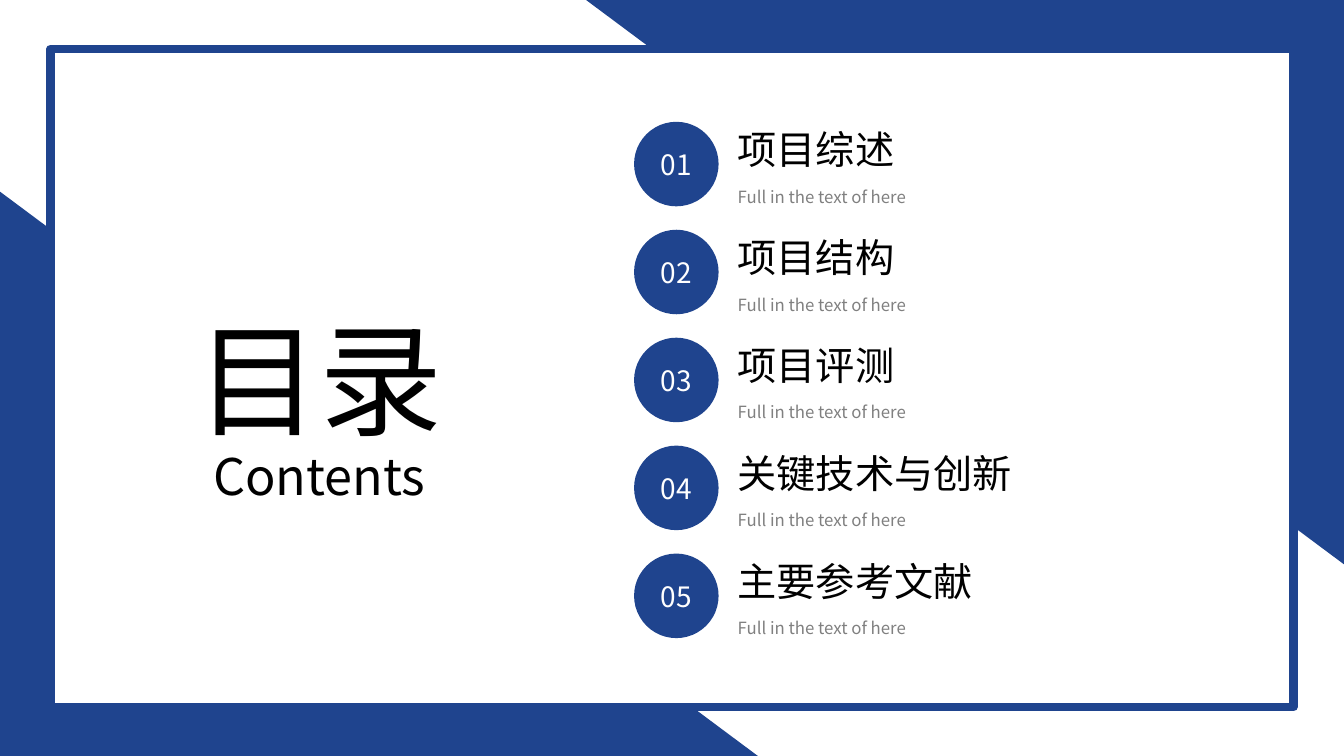
from lxml.etree import SubElement
from pptx import Presentation
from pptx.dml.color import RGBColor
from pptx.enum.shapes import MSO_SHAPE
from pptx.enum.text import MSO_ANCHOR, PP_ALIGN
from pptx.oxml.ns import qn
from pptx.util import Cm, Pt

HEADING = "目录"
SUBHEADING = "Contents"
CAPTION = "Full in the text of here"
CHAPTERS = ["项目综述", "项目结构", "项目评测", "关键技术与创新", "主要参考文献"]

FONT = "Noto Sans CJK JP"
BLUE, WHITE, BLACK, GRAY = "1F448E", "FFFFFF", "000000", "808080"
SLIDE_WIDTH, SLIDE_HEIGHT = 33.87, 19.05
CORNER_WIDTH, CORNER_HEIGHT = 19.1, 14.22
FRAME_WIDTH, FRAME_HEIGHT = 31.32, 16.59
CIRCLE_LEFT, CIRCLE_SIZE = 15.98, 2.13
CHAPTER_LEFT, FIRST_TOP, CHAPTER_PITCH = 18.34, 3.07, 2.72


def color(hex_string):
    return RGBColor.from_string(hex_string)


def add_shape(slide, kind, left, top, width, height, fill):
    shape = slide.shapes.add_shape(kind, Cm(left), Cm(top), Cm(width), Cm(height))
    shape.shadow.inherit = False
    shape.fill.solid()
    shape.fill.fore_color.rgb = color(fill)
    shape.line.fill.background()
    return shape


def write(shape, text, size, text_color, alignment):
    shape.text_frame.text = text
    paragraph = shape.text_frame.paragraphs[0]
    paragraph.alignment = alignment
    font = paragraph.runs[0].font
    font.name = FONT
    font.size = Pt(size)
    font.color.rgb = color(text_color)
    SubElement(font._element, qn("a:ea")).set("typeface", FONT)


def add_text(slide, left, top, width, height, text, size, text_color=BLACK,
             alignment=PP_ALIGN.LEFT):
    box = slide.shapes.add_textbox(Cm(left), Cm(top), Cm(width), Cm(height))
    box.text_frame.word_wrap = True
    write(box, text, size, text_color, alignment)


def add_background(slide):
    corners = [(SLIDE_WIDTH - CORNER_WIDTH, 0, 180),
               (0, SLIDE_HEIGHT - CORNER_HEIGHT, 0)]
    for left, top, rotation in corners:
        corner = add_shape(slide, MSO_SHAPE.RIGHT_TRIANGLE, left, top,
                           CORNER_WIDTH, CORNER_HEIGHT, BLUE)
        corner.rotation = rotation
    frame = add_shape(slide, MSO_SHAPE.RECTANGLE,
                      (SLIDE_WIDTH - FRAME_WIDTH) / 2,
                      (SLIDE_HEIGHT - FRAME_HEIGHT) / 2,
                      FRAME_WIDTH, FRAME_HEIGHT, WHITE)
    frame.line.color.rgb = color(BLUE)
    frame.line.width = Pt(6)


def add_chapter(slide, number, title):
    top = FIRST_TOP + (number - 1) * CHAPTER_PITCH
    circle = add_shape(slide, MSO_SHAPE.OVAL, CIRCLE_LEFT, top,
                       CIRCLE_SIZE, CIRCLE_SIZE, BLUE)
    circle.text_frame.vertical_anchor = MSO_ANCHOR.MIDDLE
    write(circle, f"{number:02d}", 20, WHITE, PP_ALIGN.CENTER)
    add_text(slide, CHAPTER_LEFT, top - 0.03, 7.98, 1.45, title, 28)
    add_text(slide, CHAPTER_LEFT, top + 1.5, 5.84, 0.76, CAPTION, 12, GRAY)


def main():
    presentation = Presentation()
    presentation.slide_width = Cm(SLIDE_WIDTH)
    presentation.slide_height = Cm(SLIDE_HEIGHT)
    slide = presentation.slides.add_slide(presentation.slide_layouts[6])
    add_background(slide)
    add_text(slide, 4.06, 7.52, 7.98, 4.01, HEADING, 88, alignment=PP_ALIGN.CENTER)
    add_text(slide, 4.52, 11.1, 7.06, 1.8, SUBHEADING, 36, alignment=PP_ALIGN.CENTER)
    for number, title in enumerate(CHAPTERS, start=1):
        add_chapter(slide, number, title)
    presentation.save("out.pptx")


if __name__ == "__main__":
    main()
